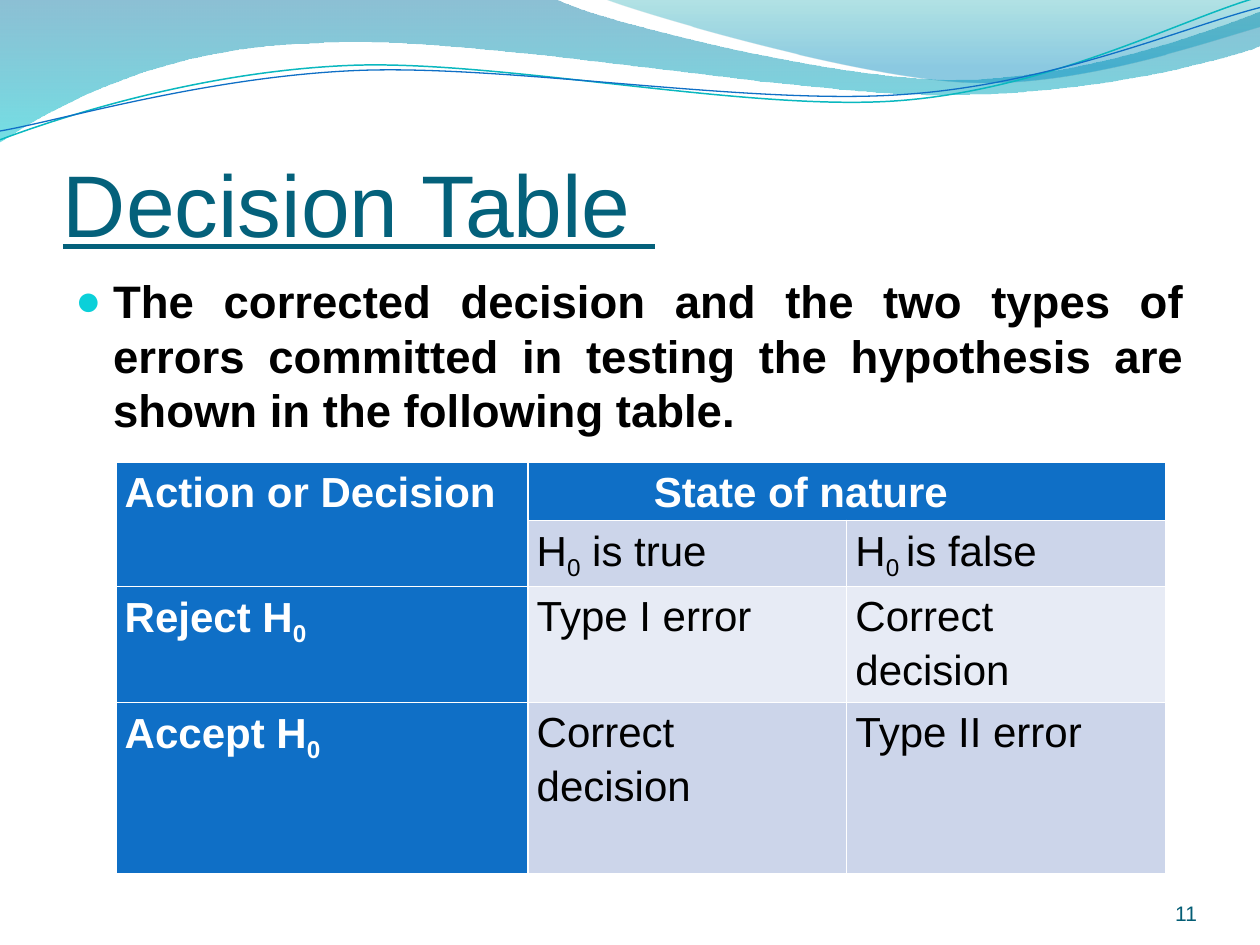
from pptx import Presentation
from pptx.dml.color import RGBColor
from pptx.enum.text import MSO_ANCHOR, PP_ALIGN
from pptx.oxml.ns import qn
from pptx.util import Inches, Pt
from lxml.etree import SubElement

BLUE, PALE, LIGHT = "0F6FC6", "CCD5EA", "E7EBF5"
WHITE, BLACK = "FFFFFF", "000000"


def color(code):
    """Turn a hex string into a colour."""
    return RGBColor.from_string(code)


def style(run, size, code, bold=False):
    """Set the font of a run."""
    font = run.font
    font.name, font.size, font.bold = "Arial", Pt(size), bold
    font.color.rgb = color(code)


def bend(node, ctrl, shape):
    """Turn a straight path segment into a cubic curve."""
    node.tag = qn("a:cubicBezTo")
    for child in list(node):
        node.remove(child)
    for x, y in zip(ctrl[::2], ctrl[1::2]):
        SubElement(node, qn("a:pt"), x=str(Inches(x) - shape.left), y=str(Inches(y) - shape.top))


def wave(slide, start, steps, closed):
    """Draw an outline of lines (2 numbers) and curves (6 numbers)."""
    ends = [(Inches(s[-2]), Inches(s[-1])) for s in steps]
    maker = slide.shapes.build_freeform(*map(Inches, start), scale=1.0)
    maker.add_line_segments(ends, close=closed)
    shape = maker.convert_to_shape()
    shape.shadow.inherit = False
    nodes = list(shape._element.spPr.iter(qn("a:lnTo")))
    for node, step in zip(nodes, steps):
        if len(step) == 6:
            bend(node, step, shape)
    return shape


def band(slide, start, steps, stops):
    """Draw a filled wave with a see-through downward gradient."""
    shape = wave(slide, start, steps, True)
    shape.line.fill.background()
    shape.fill.gradient()
    shape.fill.gradient_angle = 270
    for stop, (place, code, alpha) in zip(shape.fill.gradient_stops, stops):
        stop.position = place
        stop.color.rgb = color(code)
    tints = shape._element.spPr.iter(qn("a:srgbClr"))
    for tint, (place, code, alpha) in zip(list(tints), stops):
        SubElement(tint, qn("a:alpha"), val=str(alpha * 1000))


def strand(slide, start, steps, code, width):
    """Draw a thin open wave."""
    shape = wave(slide, start, steps, False)
    shape.fill.background()
    shape.line.color.rgb = color(code)
    shape.line.width = Pt(width)


def label(slide, box, text, size, code, bold=False, inset=0, anchor=MSO_ANCHOR.BOTTOM):
    """Add a wrapped text box and return its paragraph."""
    frame = slide.shapes.add_textbox(*map(Inches, box)).text_frame
    frame.word_wrap = True
    frame.vertical_anchor = anchor
    frame.margin_left = frame.margin_right = Inches(inset)
    frame.margin_top = frame.margin_bottom = Inches(inset / 2)
    frame.text = text
    para = frame.paragraphs[0]
    style(para.runs[0], size, code, bold)
    return para


def bullet(para):
    """Give a paragraph a hanging round bullet."""
    props = para._p.get_or_add_pPr()
    props.set("marL", str(Inches(0.3)))
    props.set("indent", str(-Inches(0.3)))
    tint = SubElement(props, qn("a:buClr"))
    SubElement(tint, qn("a:srgbClr"), val="0BD0D9")
    SubElement(props, qn("a:buSzPct"), val="95000")
    SubElement(props, qn("a:buFont"), typeface="Arial")
    SubElement(props, qn("a:buChar"), char="●")


def write(cell, text, code, bold):
    """Fill a cell; every second part between bars is a subscript."""
    cell.margin_left = cell.margin_right = Inches(0.07)
    cell.margin_top = cell.margin_bottom = 0
    para = cell.text_frame.paragraphs[0]
    para.line_spacing = 1.15
    for i, part in enumerate(text.split("|")):
        run = para.add_run()
        run.text = part
        style(run, 24, code, bold)
        if i % 2:
            run._r.get_or_add_rPr().set("baseline", "-25000")


def grid(slide):
    """Add the decision table."""
    rows = [
        ["Action or Decision", "State of nature", None],
        [None, "H|0| is true", "H|0 |is false"],
        ["Reject H|0", "Type I error", "Correct decision"],
        ["Accept H|0", "Correct decision", "Type II error"],
    ]
    area = map(Inches, (0.92, 3.67, 8.33, 3.2))
    table = slide.shapes.add_table(4, 3, *area).table
    table.first_col = True
    for col, width in zip(table.columns, (3.27, 2.53, 2.53)):
        col.width = Inches(width)
    for row, height in zip(table.rows, (0.4, 0.45, 0.8, 1.36)):
        row.height = Inches(height)
    table.cell(0, 0).merge(table.cell(1, 0))
    table.cell(0, 1).merge(table.cell(0, 2))
    for r, row in enumerate(rows):
        for c, text in enumerate(row):
            cell = table.cell(r, c)
            head = r == 0 or c == 0
            cell.fill.solid()
            cell.fill.fore_color.rgb = color(BLUE if head else LIGHT if r == 2 else PALE)
            if text:
                write(cell, text, WHITE if head else BLACK, head)
    table.cell(0, 1).margin_left = Inches(1)


def main():
    """Build and save the slide."""
    deck = Presentation()
    deck.slide_width, deck.slide_height = Inches(10), Inches(7.5)
    slide = deck.slides.add_slide(deck.slide_layouts[6])
    band(slide, (0, 0), [
        (4.4, -0.01), (4.76, 0.17, 6.64, 0.63, 7.58, 0.63),
        (8.53, 0.63, 9.58, 0.26, 10, 0.09), (10.01, 0.36),
        (9.83, 0.44, 8.7, 0.76, 7.46, 0.75), (6.22, 0.75, 3.82, 0.28, 2.57, 0.34),
        (1.29, 0.36, 0.46, 0.83, -0.01, 1.13), (0, 0),
    ], [(0, "0074A1", 45), (1, "00C6CF", 55)])
    band(slide, (4.79, -0.01), [
        (5.09, 0.11, 6.82, 0.62, 7.69, 0.65),
        (8.56, 0.69, 9.61, 0.32, 10, 0.21), (10, 0), (4.79, -0.01),
    ], [(0, "00A1A9", 30), (0.8, "008BBF", 45)])
    strand(slide, (0, 1.11), [
        (0.48, 0.93, 1.58, 0.57, 2.77, 0.52), (3.95, 0.47, 5.93, 0.89, 7.13, 0.8),
        (8.33, 0.71, 9.38, 0.15, 9.98, -0.02),
    ], "0AB8BF", 0.85)
    strand(slide, (0, 1.04), [
        (0.47, 0.96, 1.64, 0.61, 2.83, 0.56), (4.03, 0.51, 5.97, 0.84, 7.17, 0.75),
        (8.36, 0.67, 9.41, 0.21, 10, 0.06),
    ], BLUE, 0.75)
    title = label(slide, (0.5, 0.77, 9, 1.25), "Decision Table ", 50, "04617B")
    title.runs[0].font.underline = True
    body = label(slide, (0.5, 2.12, 9, 4.8),
                 "The corrected decision and the two types of errors committed in "
                 "testing the hypothesis are shown in the following table.",
                 26, BLACK, True, 0.1, MSO_ANCHOR.TOP)
    body.alignment = PP_ALIGN.JUSTIFY
    body.space_before = Pt(5)
    bullet(body)
    grid(slide)
    page = label(slide, (8.67, 6.95, 0.83, 0.4), "11", 12, "045D75")
    page.alignment = PP_ALIGN.RIGHT
    deck.save("out.pptx")


if __name__ == "__main__":
    main()
